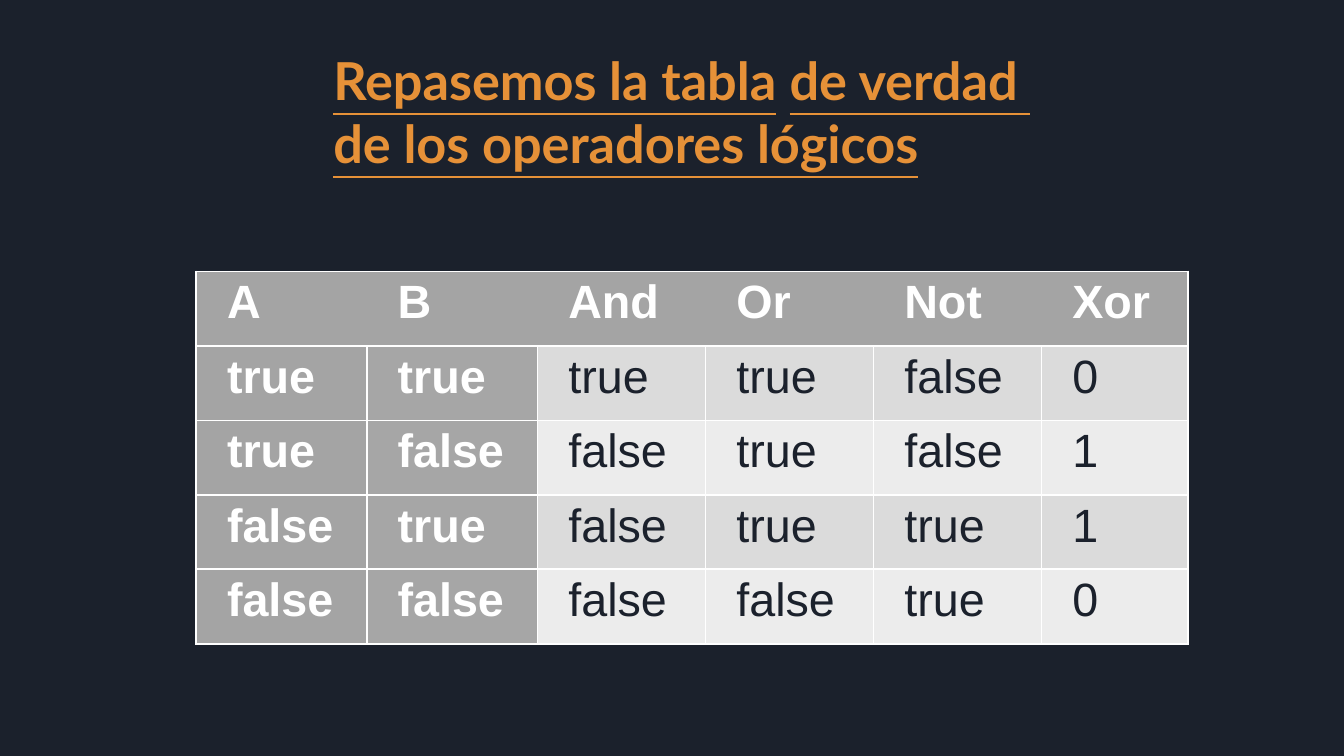
from dataclasses import dataclass

from lxml import etree
from pptx import Presentation
from pptx.dml.color import RGBColor
from pptx.enum.text import MSO_ANCHOR, MSO_AUTO_SIZE, PP_ALIGN
from pptx.oxml.ns import qn
from pptx.util import Inches, Pt

LEFT = PP_ALIGN.LEFT
TOP = MSO_ANCHOR.TOP
GROW = MSO_AUTO_SIZE.SHAPE_TO_FIT_TEXT
TITLE_ONLY = 5
SLIDE_WIDTH = 10
SLIDE_HEIGHT = SLIDE_WIDTH * 9 / 16


@dataclass(frozen=True)
class Theme:
    background: str = "1B212C"
    accent: str = "E69138"
    gap: str = "8FAADC"
    light: str = "FFFFFF"
    header: str = "A4A4A4"
    second_column: str = "A6A6A6"
    bands: tuple = ("DBDBDB", "ECECEC")
    title_font: str = "Lato"
    gap_font: str = "Karla"
    table_font: str = "Arial"
    title_size: float = 28
    table_size: float = 25
    border_width: float = 1


class SlideBuilder:
    def __init__(self, presentation, theme):
        self.theme = theme
        self.slide = presentation.slides.add_slide(presentation.slide_layouts[TITLE_ONLY])
        fill = self.slide.background.fill
        fill.solid()
        fill.fore_color.rgb = RGBColor.from_string(theme.background)

    def style(self, run, font_name, size, color, bold, underline=False):
        font = run.font
        font.name = font_name
        font.size = Pt(size)
        font.bold = bold
        font.underline = underline
        font.color.rgb = RGBColor.from_string(color)

    def title(self, first, second, third, left, top, width, height):
        """Underlined title: two pieces split by a plain space, then a second line."""
        theme = self.theme
        shape = self.slide.shapes.title
        shape.left, shape.top = Inches(left), Inches(top)
        shape.width, shape.height = Inches(width), Inches(height)
        frame = shape.text_frame
        frame.margin_left = frame.margin_right = frame.margin_bottom = 0
        frame.margin_top = Inches(0.01)
        frame.vertical_anchor = TOP
        frame.word_wrap = True
        frame.auto_size = GROW
        paragraph = frame.paragraphs[0]
        paragraph.alignment = LEFT
        paragraph.line_spacing = 1.0
        properties = paragraph._p.get_or_add_pPr()
        properties.set("marL", str(Inches(0.7)))
        properties.set("indent", "0")
        for text in (first, " ", second, third):
            if text == third:
                paragraph.add_line_break()
            run = paragraph.add_run()
            run.text = text
            if text == " ":
                self.style(run, theme.gap_font, theme.title_size, theme.gap, True)
                run._r.get_or_add_rPr().set("spc", "-90")
            else:
                self.style(run, theme.title_font, theme.title_size, theme.accent, True, True)

    def border(self, cell, sides):
        """Draw the sides named in `sides` and hide the others."""
        properties = cell._tc.get_or_add_tcPr()
        for side in "LRTB":
            line = etree.SubElement(properties, qn(f"a:ln{side}"))
            line.set("w", str(Pt(self.theme.border_width)))
            if side in sides:
                fill = etree.SubElement(line, qn("a:solidFill"))
                etree.SubElement(fill, qn("a:srgbClr")).set("val", self.theme.light)
            else:
                etree.SubElement(line, qn("a:noFill"))

    def cell_fill(self, row, column):
        if row == 0 or column == 0:
            return self.theme.header
        if column == 1:
            return self.theme.second_column
        return self.theme.bands[(row - 1) % 2]

    def cell(self, cell, text, row, column, last_column):
        theme = self.theme
        emphasised = row == 0 or column < 2
        cell.margin_left = cell.margin_right = cell.margin_bottom = 0
        cell.margin_top = Inches(0.04)
        cell.vertical_anchor = TOP
        # The header row has no lines between its cells
        sides = "LRTB"
        if row == 0:
            sides = "TB" + "L" * (column == 0) + "R" * (column == last_column)
        self.border(cell, sides)
        cell.fill.solid()
        cell.fill.fore_color.rgb = RGBColor.from_string(self.cell_fill(row, column))
        paragraph = cell.text_frame.paragraphs[0]
        paragraph.text = text
        paragraph.space_before = Pt(3.5)
        properties = paragraph._p.get_or_add_pPr()
        properties.set("marL", str(Inches(0.23)))
        properties.set("indent", "0")
        color = theme.light if emphasised else theme.background
        self.style(paragraph.runs[0], theme.table_font, theme.table_size, color, emphasised)

    def table(self, rows, left, top, widths, height):
        table = self.slide.shapes.add_table(
            len(rows), len(widths), Inches(left), Inches(top),
            Inches(sum(widths)), Inches(height)).table
        for column, width in zip(table.columns, widths):
            column.width = Inches(width)
        for row_index, values in enumerate(rows):
            table.rows[row_index].height = Inches(height / len(rows))
            for column_index, value in enumerate(values):
                self.cell(table.cell(row_index, column_index), value,
                          row_index, column_index, len(widths) - 1)


def main():
    presentation = Presentation()
    presentation.slide_width = Inches(SLIDE_WIDTH)
    presentation.slide_height = Inches(SLIDE_HEIGHT)
    builder = SlideBuilder(presentation, Theme())

    # Title
    builder.title("Repasemos la tabla", "de verdad ", "de los operadores lógicos",
                  1.78, 0.35, 9.24, 0.97)

    # Truth table
    truth_table = [
        ("A", "B", "And", "Or", "Not", "Xor"),
        ("true", "true", "true", "true", "false", "0"),
        ("true", "false", "false", "true", "false", "1"),
        ("false", "true", "false", "true", "true", "1"),
        ("false", "false", "false", "false", "true", "0"),
    ]
    builder.table(truth_table, 1.46, 2.02, (1.27, 1.27, 1.25, 1.25, 1.25, 1.09), 2.77)

    presentation.save("out.pptx")


if __name__ == "__main__":
    main()
